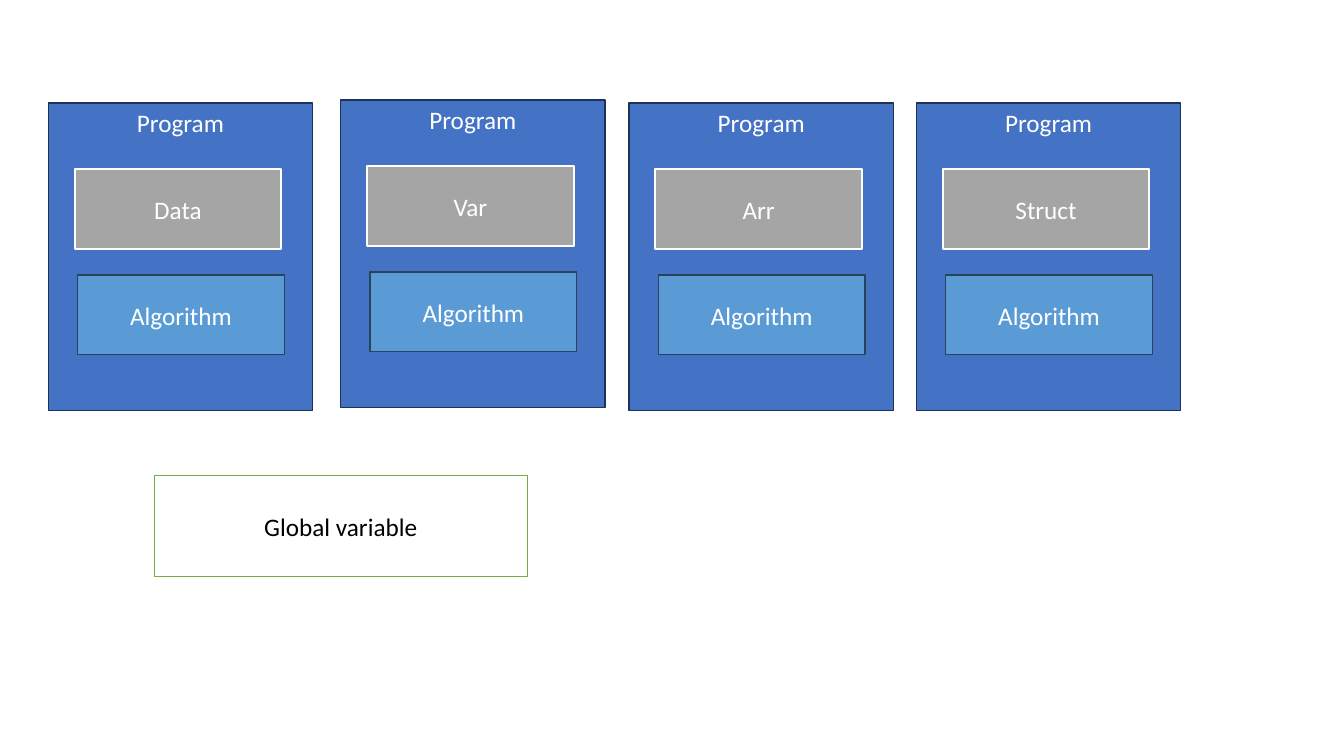
"""Build a slide of four program blocks and a global variable box."""
from dataclasses import dataclass

from pptx import Presentation
from pptx.dml.color import RGBColor
from pptx.enum.shapes import MSO_SHAPE as Preset
from pptx.enum.text import MSO_ANCHOR as Anchor, PP_ALIGN as Align
from pptx.shapes.autoshape import Shape
from pptx.util import Inches, Pt


@dataclass(frozen=True)
class BoxStyle:
    width: float
    height: float
    fill: str
    line: str
    line_width: float = 1
    anchor: Anchor = Anchor.MIDDLE
    text_color: str = "FFFFFF"


@dataclass(frozen=True)
class Program:
    left: float
    top: float
    data_label: str


PROGRAM_STYLE = BoxStyle(2.62, 3.05, "4472C4", "1E3256", anchor=Anchor.TOP)
DATA_STYLE = BoxStyle(2.05, 0.79, "A5A5A5", "FFFFFF", line_width=1.5)
ALGORITHM_STYLE = BoxStyle(2.05, 0.79, "5B9BD5", "28445D")
GLOBAL_STYLE = BoxStyle(3.7, 1, "FFFFFF", "70AD47", text_color="000000")

PROGRAMS = [
    Program(0.48, 1.02, "Data"),
    Program(3.38, 0.99, "Var"),
    Program(6.24, 1.02, "Arr"),
    Program(9.09, 1.02, "Struct"),
]


def color(hex_value: str) -> RGBColor:
    return RGBColor.from_string(hex_value)


def write_text(shape: Shape, text: str, *, text_color: str, anchor: Anchor,
               size: float = 18, font: str = "Calibri") -> None:
    frame = shape.text_frame
    frame.word_wrap = True
    frame.vertical_anchor = anchor
    paragraph = frame.paragraphs[0]
    paragraph.alignment = Align.CENTER
    run = paragraph.add_run()
    run.text = text
    run.font.name = font
    run.font.size = Pt(size)
    run.font.color.rgb = color(text_color)


def draw_box(shapes, left: float, top: float, text: str, style: BoxStyle) -> None:
    shape = shapes.add_shape(Preset.RECTANGLE, Inches(left), Inches(top),
                             Inches(style.width), Inches(style.height))
    shape.shadow.inherit = False
    shape.fill.solid()
    shape.fill.fore_color.rgb = color(style.fill)
    shape.line.color.rgb = color(style.line)
    shape.line.width = Pt(style.line_width)
    write_text(shape, text, text_color=style.text_color, anchor=style.anchor)


def draw_program(shapes, program: Program) -> None:
    group = shapes.add_group_shape()
    left, top = program.left, program.top
    draw_box(group.shapes, left, top, "Program", PROGRAM_STYLE)
    draw_box(group.shapes, left + 0.26, top + 0.66, program.data_label, DATA_STYLE)
    draw_box(group.shapes, left + 0.29, top + 1.71, "Algorithm", ALGORITHM_STYLE)


def main() -> None:
    presentation = Presentation()
    presentation.slide_width = Inches(13.33)
    presentation.slide_height = Inches(7.5)
    slide = presentation.slides.add_slide(presentation.slide_layouts[6])
    for program in PROGRAMS:
        draw_program(slide.shapes, program)
    draw_box(slide.shapes, 1.53, 4.72, "Global variable", GLOBAL_STYLE)
    presentation.save("out.pptx")


if __name__ == "__main__":
    main()
